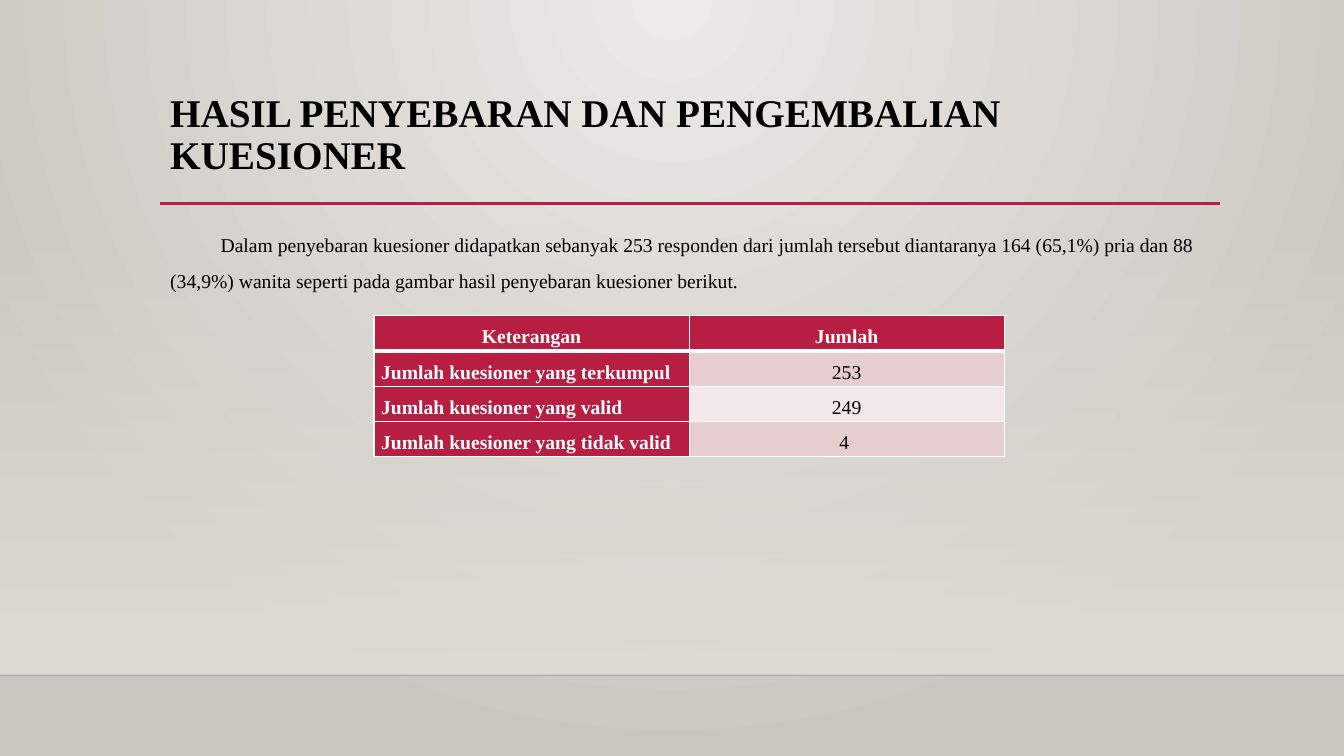
"""Build the slide on questionnaire distribution and returns."""
from lxml import etree
from pptx import Presentation
from pptx.dml.color import RGBColor
from pptx.enum.shapes import MSO_CONNECTOR, MSO_SHAPE
from pptx.enum.text import MSO_ANCHOR, PP_ALIGN
from pptx.oxml.ns import qn
from pptx.util import Inches, Pt

FONT = "Times New Roman"
COLORS = {
    "center": "ECEAE7", "edge": "CAC7C1", "floor": "DFDBD5", "floor_line": "000001",
    "accent": "B71E42", "band_dark": "E6CDCF", "band_light": "F3E8E9",
    "black": "000000", "white": "FFFFFF",
}


def rgb(name):
    return RGBColor.from_string(COLORS[name])


def style_text(paragraph, size, color, bold, spacing):
    paragraph.line_spacing = spacing
    for run in paragraph.runs:
        run.font.name = FONT
        run.font.size = Pt(size)
        run.font.bold = bold
        run.font.color.rgb = rgb(color)


presentation = Presentation()
presentation.slide_width = Inches(13.33)
presentation.slide_height = Inches(7.5)
slide = presentation.slides.add_slide(presentation.slide_layouts[6])

background = slide.background.fill
background.gradient()
for stop, color in zip(background.gradient_stops, ("center", "edge")):
    stop.color.rgb = rgb(color)
gradient = slide.background._cSld.find(".//" + qn("a:gradFill"))
linear = gradient.find(qn("a:lin"))
radial = etree.Element(qn("a:path"), path="circle")
etree.SubElement(radial, qn("a:fillToRect"), l="43000", t="0", r="43000", b="100000")
gradient.replace(linear, radial)

wall = slide.shapes.add_shape(MSO_SHAPE.RECTANGLE, 0, Inches(2.21), Inches(13.33), Inches(4.49))
wall.shadow.inherit = False
wall.line.fill.background()
wall.fill.gradient()
wall.fill.gradient_angle = 270
for stop in wall.fill.gradient_stops:
    stop.color.rgb = rgb("floor")
first_color = wall._element.spPr.find(".//" + qn("a:srgbClr"))
etree.SubElement(first_color, qn("a:alpha"), val="0")

for left, right, y, color, width, opacity in (
    (0, 13.33, 6.7, "floor_line", 1, 20),
    (1.59, 12.1, 2.02, "accent", 2.5, 100),
):
    rule = slide.shapes.add_connector(
        MSO_CONNECTOR.STRAIGHT, Inches(left), Inches(y), Inches(right), Inches(y))
    rule.line.color.rgb = rgb(color)
    rule.line.width = Pt(width)
    rule_color = rule._element.spPr.find(".//" + qn("a:srgbClr"))
    etree.SubElement(rule_color, qn("a:alpha"), val=str(opacity * 1000))
    etree.SubElement(rule._element.spPr, qn("a:effectLst"))

title = slide.shapes.add_textbox(Inches(1.59), Inches(0.88), Inches(10.5), Inches(1.15))
title.text_frame.word_wrap = True
title.text_frame.text = "HASIL PENYEBARAN DAN PENGEMBALIAN KUESIONER"
style_text(title.text_frame.paragraphs[0], 28, "black", True, 0.9)

rows = [
    ("Keterangan", "Jumlah"),
    ("Jumlah kuesioner yang terkumpul", "253"),
    ("Jumlah kuesioner yang valid", "249"),
    ("Jumlah kuesioner yang tidak valid", "4 "),
]
table = slide.shapes.add_table(
    len(rows), 2, Inches(3.71), Inches(3.13), Inches(6.25), Inches(1.23)).table
for row_index, values in enumerate(rows):
    for column_index, value in enumerate(values):
        cell = table.cell(row_index, column_index)
        is_header = row_index == 0 or column_index == 0
        band = "band_dark" if row_index % 2 else "band_light"
        cell.fill.solid()
        cell.fill.fore_color.rgb = rgb("accent" if is_header else band)
        cell.margin_left = cell.margin_right = Inches(0.07)
        cell.margin_top = cell.margin_bottom = 0
        cell.vertical_anchor = MSO_ANCHOR.TOP
        cell.text_frame.text = value
        paragraph = cell.text_frame.paragraphs[0]
        is_label = row_index > 0 and column_index == 0
        paragraph.alignment = PP_ALIGN.JUSTIFY if is_label else PP_ALIGN.CENTER
        paragraph.space_before = paragraph.space_after = Pt(6)
        style_text(paragraph, 14, "white" if is_header else "black", is_header, 1.5)
        properties = cell._tc.get_or_add_tcPr()
        for position, side in enumerate(("lnL", "lnR", "lnT", "lnB")):
            thick = (row_index == 0 and side == "lnB") or (row_index == 1 and side == "lnT")
            border = etree.Element(qn("a:" + side), w=str(Pt(3 if thick else 1)))
            border_fill = etree.SubElement(border, qn("a:solidFill"))
            etree.SubElement(border_fill, qn("a:srgbClr"), val=COLORS["white"])
            properties.insert(position, border)

body = slide.shapes.add_textbox(Inches(1.59), Inches(2.15), Inches(10.5), Inches(0.77))
body.text_frame.word_wrap = True
body.text_frame.text = (
    "Dalam penyebaran kuesioner didapatkan sebanyak 253 responden dari jumlah tersebut "
    "diantaranya 164 (65,1%) pria dan 88 (34,9%) wanita seperti pada gambar hasil "
    "penyebaran kuesioner berikut.")
paragraph = body.text_frame.paragraphs[0]
style_text(paragraph, 14, "black", False, 1.5)
paragraph._p.get_or_add_pPr().set("indent", str(Inches(0.5)))

presentation.save("out.pptx")
